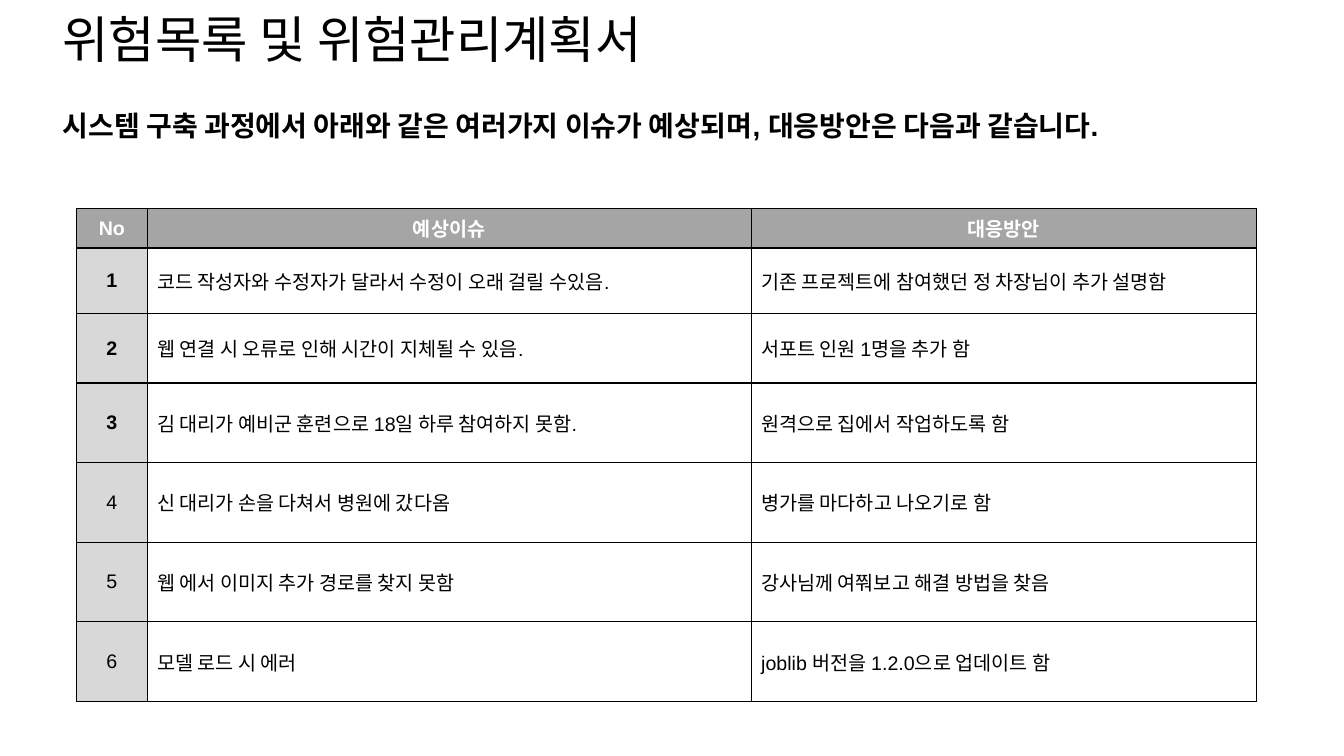
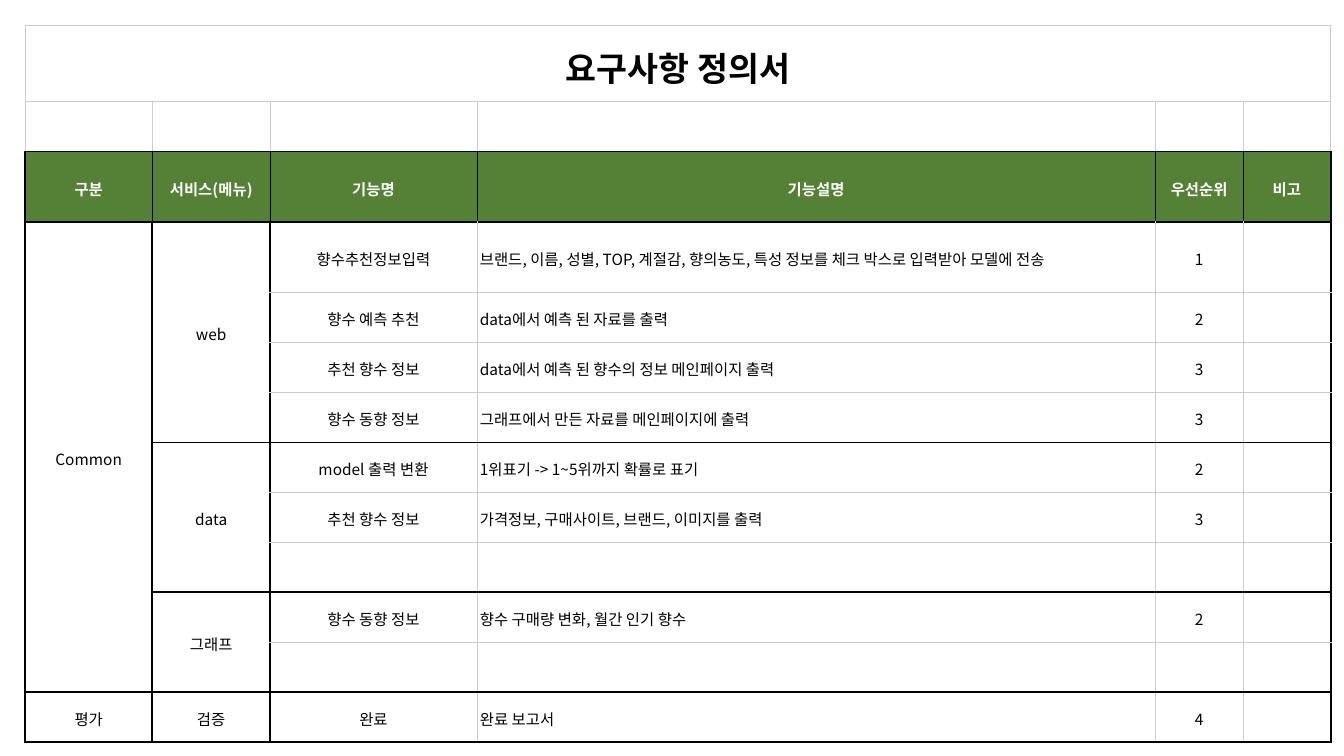
from lxml.etree import SubElement
from pptx import Presentation
from pptx.dml.color import RGBColor as Color
from pptx.enum.text import MSO_ANCHOR as Anchor, MSO_AUTO_SIZE as Fit, PP_ALIGN as Align
from pptx.oxml.ns import qn
from pptx.oxml import parse_xml
from pptx.util import Inches, Pt

BLACK = Color(0x00, 0x00, 0x00)
WHITE = Color(0xFF, 0xFF, 0xFF)
GRAY = Color(0xA5, 0xA5, 0xA5)
PALE = Color(0xD8, 0xD8, 0xD8)
GREEN = Color(0x54, 0x81, 0x35)
RULE = Color(0xCC, 0xCC, 0xCC)
LATIN, KOREAN = "Arial", "Noto Sans CJK KR"
NS = "http://schemas.openxmlformats.org/drawingml/2006/main"

TITLE = "위험목록 및 위험관리계획서"
LEAD = "시스템 구축 과정에서 아래와 같은 여러가지 이슈가 예상되며, 대응방안은 다음과 같습니다."
RISKS = [
    ("No", "예상이슈", "대응방안"),
    ("1", "코드 작성자와 수정자가 달라서 수정이 오래 걸릴 수있음.", "기존 프로젝트에 참여했던 정 차장님이 추가 설명함"),
    ("2", "웹 연결 시 오류로 인해 시간이 지체될 수 있음.", "서포트 인원 1명을 추가 함"),
    ("3", "김 대리가 예비군 훈련으로 18일 하루 참여하지 못함.", "원격으로 집에서 작업하도록 함"),
    ("4", "신 대리가 손을 다쳐서 병원에 갔다옴", "병가를 마다하고 나오기로 함"),
    ("5", "웹 에서 이미지 추가 경로를 찾지 못함", "강사님께 여쭤보고 해결 방법을 찾음"),
    ("6", "모델 로드 시 에러", "joblib 버전을 1.2.0으로 업데이트 함"),
]
RISK_COLS = [0.7, 5.99, 5.01]
RISK_ROWS = [0.39, 0.65, 0.69] + [0.79] * 4

NEEDS = [
    ("요구사항 정의서", "", "", "", "", ""),
    ("", "", "", "", "", ""),
    ("구분", "서비스(메뉴)", "기능명", "기능설명", "우선순위", "비고"),
    ("Common", "web", "향수추천정보입력", "브랜드, 이름, 성별, TOP, 계절감, 향의농도, 특성 정보를 체크 박스로 입력받아 모델에 전송", "1", ""),
    ("", "", "향수 예측 추천", "data에서 예측 된 자료를 출력", "2", ""),
    ("", "", "추천 향수 정보", "data에서 예측 된 향수의 정보 메인페이지 출력", "3", ""),
    ("", "", "향수 동향 정보", "그래프에서 만든 자료를 메인페이지에 출력", "3", ""),
    ("", "data", "model 출력 변환", "1위표기 -> 1~5위까지 확률로 표기", "2", ""),
    ("", "", "추천 향수 정보", "가격정보, 구매사이트, 브랜드, 이미지를 출력", "3", ""),
    ("", "", "", "", "", ""),
    ("", "그래프", "향수 동향 정보", "향수 구매량 변화, 월간 인기 향수", "2", ""),
    ("", "", "", "", "", ""),
    ("평가", "검증", "완료", "완료 보고서", "4", ""),
]
SPANS = [(0, 0, 0, 5), (3, 0, 11, 0), (3, 1, 6, 1), (7, 1, 9, 1), (10, 1, 11, 1)]
NEED_COLS = [1.26, 1.17, 2.05, 6.73, 0.87, 0.87]
NEED_TOP, NEED_END = 0.25, 7.36
LINE = (NEED_END - NEED_TOP - 0.75 - 2 * 0.7) / 10
NEED_ROWS = [0.75, LINE, 0.7, 0.7] + [LINE] * 9
HEAD = 2
THIN, MID, THICK = (RULE, 0.45), (BLACK, 0.45), (BLACK, 1.36)


def style(para, size, color, bold, font, space):
    para.line_spacing = space
    for run in para.runs:
        run.font.size = Pt(size)
        run.font.bold = bold
        run.font.name = font
        run.font.color.rgb = color
        SubElement(run.font._element, qn("a:ea")).set("typeface", KOREAN)


def place(box, at, text, size, bold, anchor):
    box.left, box.top, box.width, box.height = (Inches(v) for v in at)
    frame = box.text_frame
    frame.text = text
    frame.auto_size = Fit.NONE
    frame.vertical_anchor = anchor
    para = frame.paragraphs[0]
    para.alignment = Align.LEFT
    para.space_before = Pt(0)
    props = para._p.get_or_add_pPr()
    props.set("marL", "0")
    props.set("indent", "0")
    style(para, size, BLACK, bold, LATIN, 0.9)
    SubElement(props, qn("a:buNone"))


def grid(slide, left, top, cols, rows):
    shape = slide.shapes.add_table(
        len(rows), len(cols), Inches(left), Inches(top),
        Inches(sum(cols)), Inches(sum(rows)))
    table = shape.table
    for col, width in zip(table.columns, cols):
        col.width = Inches(width)
    for row, height in zip(table.rows, rows):
        row.height = Inches(height)
    return table


def border(cell, edges):
    props = cell._tc.get_or_add_tcPr()
    for spot, (side, (color, width)) in enumerate(zip("LRTB", edges)):
        props.insert(spot, parse_xml(
            f'<a:ln{side} xmlns:a="{NS}" w="{int(Pt(width))}"><a:solidFill>'
            f'<a:srgbClr val="{color}"/></a:solidFill></a:ln{side}>'))


def fill(cell, text, back, edges, pad, align, look):
    cell.fill.solid()
    cell.fill.fore_color.rgb = back
    border(cell, edges)
    cell.vertical_anchor = Anchor.MIDDLE
    cell.margin_left = cell.margin_right = Inches(pad[0])
    cell.margin_top = cell.margin_bottom = Inches(pad[1] if text else 0)
    if text:
        cell.text_frame.text = text
        para = cell.text_frame.paragraphs[0]
        para.alignment = align
        style(para, *look)


def level(r, c):
    if r in (2, 3, 12, 13) or (r in (7, 10) and c > 0):
        return THICK
    return THIN


def upright(r, c):
    if r < HEAD:
        return THIN
    if c in (0, 6) or (r > HEAD and c in (1, 2)):
        return THICK
    return MID if r == HEAD else THIN


def risks(deck):
    slide = deck.slides.add_slide(deck.slide_layouts[1])
    title, body = slide.placeholders
    place(title, (0.52, 0.15, 11.5, 0.53), TITLE, 36, False, Anchor.MIDDLE)
    place(body, (0.52, 1.06, 12.01, 0.71), LEAD, 20, True, Anchor.TOP)
    table = grid(slide, 0.76, 2.07, RISK_COLS, RISK_ROWS)
    for r, row in enumerate(RISKS):
        for c, text in enumerate(row):
            head, key = r == 0, c == 0
            back = GRAY if head else PALE if key else WHITE
            bold = head or (key and r <= 3)
            look = (14, WHITE if head else BLACK, bold, LATIN, 1.0)
            align = Align.CENTER if head or key else Align.LEFT
            fill(table.cell(r, c), text, back, [(BLACK, 1)] * 4, (0.1, 0.04), align, look)


def needs(deck):
    slide = deck.slides.add_slide(deck.slide_layouts[6])
    table = grid(slide, 0.25, NEED_TOP, NEED_COLS, NEED_ROWS)
    for r, row in enumerate(NEEDS):
        for c, text in enumerate(row):
            head = r == HEAD
            edges = (upright(r, c), upright(r, c + 1), level(r, c), level(r + 1, c))
            look = (24 if r == 0 else 11, WHITE if head else BLACK, r <= HEAD, KOREAN, 1.15)
            align = Align.LEFT if c == 3 and r > HEAD else Align.CENTER
            fill(table.cell(r, c), text, GREEN if head else WHITE, edges, (0.03, 0.1), align, look)
    for top, left, end, right in SPANS:
        table.cell(top, left).merge(table.cell(end, right))


def main():
    deck = Presentation()
    deck.slide_width, deck.slide_height = Inches(13.33), Inches(7.5)
    risks(deck)
    needs(deck)
    deck.save("out.pptx")


if __name__ == "__main__":
    main()
